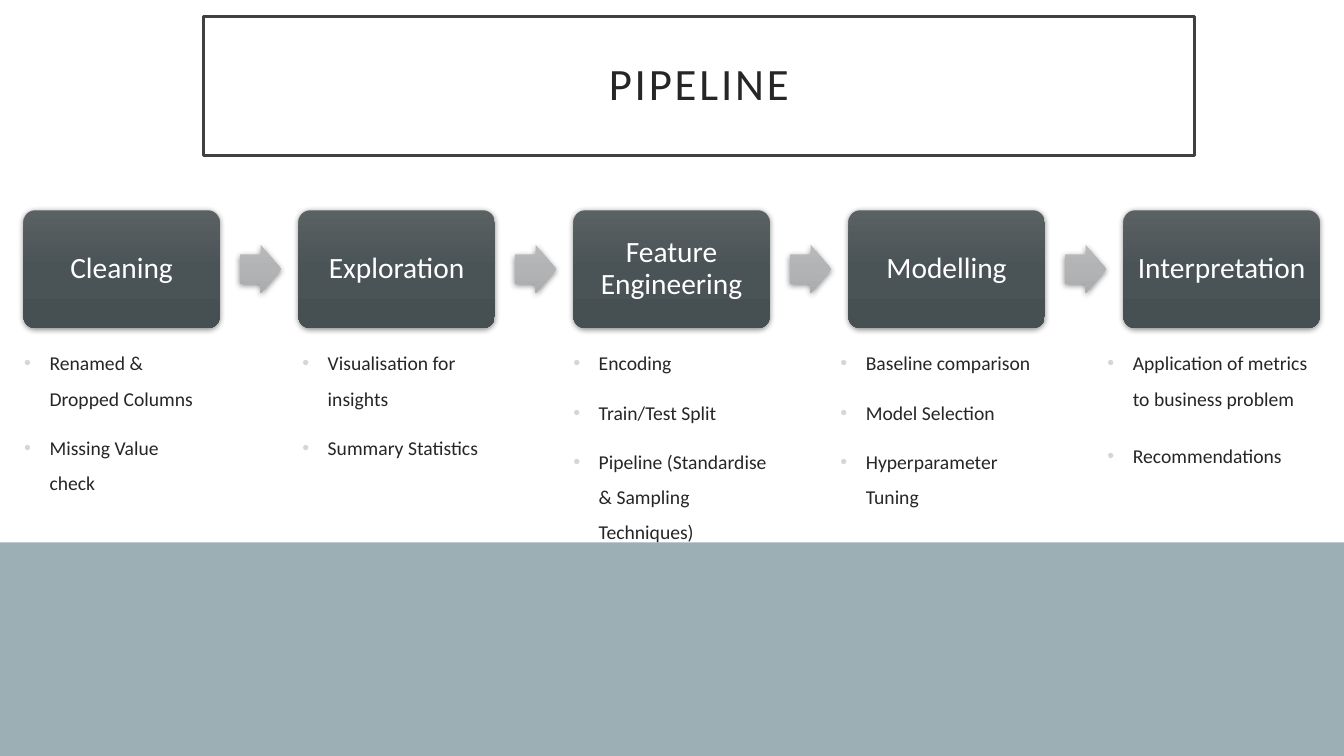
"""Build the data science pipeline slide."""
import copy
from dataclasses import dataclass

import pptx
import pptx.dml.color
import pptx.enum.shapes
import pptx.enum.text
import pptx.oxml
import pptx.oxml.ns
import pptx.util
from lxml import etree

Cm = pptx.util.Cm
Pt = pptx.util.Pt
SHAPES = pptx.enum.shapes.MSO_SHAPE
ALIGN = pptx.enum.text.PP_ALIGN
ANCHOR = pptx.enum.text.MSO_ANCHOR
qn = pptx.oxml.ns.qn


@dataclass(frozen=True)
class Theme:
    """Colours, fonts and type sizes of the slide."""
    font: str = "Calibri"
    background: str = "9BAFB5"
    paper: str = "FFFFFF"
    ink: str = "262626"
    frame: str = "404040"
    bullet: str = "D9D6D1"
    card: tuple = ("5A6163", "4A5356", "465053")
    arrow: tuple = ("B8BABA", "B2B3B4", "AAACAD")
    title_size: int = 32
    card_size: int = 21
    note_size: int = 14


def rgb(value):
    """Turn a hex string into a colour."""
    return pptx.dml.color.RGBColor.from_string(value)


def apply(target, values):
    """Set every attribute named in a dict."""
    for name, value in values.items():
        setattr(target, name, value)


class SlideBuilder:
    """Hold the theme and the slide and draw each kind of element."""

    def __init__(self, slide, theme):
        """Keep the slide and paint its background."""
        self.slide = slide
        self.theme = theme
        slide.background.fill.solid()
        slide.background.fill.fore_color.rgb = rgb(theme.background)

    def style(self, para, size, colour):
        """Format the type of a paragraph."""
        apply(para.font, {"name": self.theme.font, "size": Pt(size)})
        para.font.color.rgb = rgb(colour)

    def shape(self, kind, place):
        """Add a preset shape without line or shadow."""
        shape = self.slide.shapes.add_shape(kind, *map(Cm, place))
        shape.shadow.inherit = False
        shape.line.fill.background()
        return shape

    def band(self, place):
        """Add the plain sheet behind the content."""
        sheet = self.shape(SHAPES.RECTANGLE, place)
        sheet.fill.solid()
        sheet.fill.fore_color.rgb = rgb(self.theme.paper)

    def title(self, text, place):
        """Place the title in its frame, in front of the sheet."""
        title = self.slide.shapes.title
        self.slide.shapes._spTree.append(title._element)
        apply(title, dict(zip(("left", "top", "width", "height"), map(Cm, place))))
        title.fill.solid()
        title.fill.fore_color.rgb = rgb(self.theme.paper)
        title.line.color.rgb = rgb(self.theme.frame)
        title.line.width = Pt(2.5)
        apply(title.text_frame, {
            "text": text, "word_wrap": True, "vertical_anchor": ANCHOR.MIDDLE,
            "auto_size": pptx.enum.text.MSO_AUTO_SIZE.NONE})
        para = title.text_frame.paragraphs[0]
        apply(para, {"alignment": ALIGN.CENTER, "line_spacing": 0.9})
        self.style(para, self.theme.title_size, self.theme.ink)
        span = para.runs[0]
        apply(span.font, {"name": self.theme.font, "size": Pt(self.theme.title_size)})
        span.font._element.set("spc", "200")

    def raised(self, kind, place, colours, adjustments):
        """Add a shape with a vertical gradient and a soft shadow."""
        shape = self.shape(kind, place)
        for index, value in enumerate(adjustments):
            shape.adjustments[index] = value
        shape.fill.gradient()
        shape.fill.gradient_angle = 270
        properties = shape._element.spPr
        stops = properties.find(".//" + qn("a:gsLst"))
        stops.insert(1, copy.deepcopy(stops[0]))
        for stop, colour, position in zip(shape.fill.gradient_stops, colours, (0, 0.5, 1)):
            stop.color.rgb = rgb(colour)
            stop.position = position
        shadow = etree.SubElement(
            properties.find(qn("a:effectLst")), qn("a:outerShdw"),
            blurRad=str(Pt(4.4)), dist=str(Pt(1.2)), dir="5400000", rotWithShape="0")
        black = etree.SubElement(shadow, qn("a:srgbClr"), val="000000")
        etree.SubElement(black, qn("a:alpha"), val="45000")
        return shape

    def card(self, text, place):
        """Add a labelled step of the pipeline."""
        card = self.raised(SHAPES.ROUNDED_RECTANGLE, place, self.theme.card, (0.1,))
        sides = ("left", "top", "right", "bottom")
        apply(card.text_frame, {f"margin_{side}": Cm(0.23) for side in sides})
        apply(card.text_frame, {
            "text": text, "word_wrap": True, "vertical_anchor": ANCHOR.MIDDLE})
        para = card.text_frame.paragraphs[0]
        apply(para, {"alignment": ALIGN.CENTER, "line_spacing": 0.9})
        self.style(para, self.theme.card_size, self.theme.paper)

    def arrow(self, place):
        """Add a block arrow between two steps."""
        self.raised(SHAPES.RIGHT_ARROW, place, self.theme.arrow, (0.6, 0.5))

    def notes(self, lines, place, gap):
        """Add a bulleted list below a step."""
        box = self.slide.shapes.add_textbox(*map(Cm, place))
        frame = box.text_frame
        apply(frame, {"text": "\n".join(lines), "word_wrap": True})
        for index, para in enumerate(frame.paragraphs):
            apply(para, {"line_spacing": 1.5, "space_before": Pt(gap if index else 0)})
            settings = para._p.get_or_add_pPr()
            settings.set("marL", str(Cm(0.64)))
            settings.set("indent", str(Cm(-0.64)))
            colour = etree.SubElement(settings, qn("a:buClr"))
            etree.SubElement(colour, qn("a:srgbClr"), val=self.theme.bullet)
            etree.SubElement(settings, qn("a:buFont"), typeface="Arial")
            etree.SubElement(settings, qn("a:buChar"), char="•")
            self.style(para, self.theme.note_size, self.theme.ink)


STEPS = [
    ("Cleaning", 0.36, 5.08, 10, ["Renamed & Dropped Columns", "Missing Value check"]),
    ("Exploration", 7.37, 5.08, 10, ["Visualisation for insights", "Summary Statistics"]),
    ("Feature Engineering", 14.2, 5.46, 10,
     ["Encoding", "Train/Test Split", "Pipeline (Standardise & Sampling Techniques)"]),
    ("Modelling", 20.93, 5.46, 10,
     ["Baseline comparison", "Model Selection", "Hyperparameter Tuning"]),
    ("Interpretation", 27.66, 5.61, 16,
     ["Application of metrics to business problem", "Recommendations"]),
]
CARD_LEFT, CARD_PITCH, ARROW_OFFSET = 0.59, 6.93, 5.46


def main():
    """Build and save the deck."""
    deck = pptx.Presentation()
    apply(deck, {"slide_width": Cm(33.87), "slide_height": Cm(19.05)})
    page = SlideBuilder(deck.slides.add_slide(deck.slide_layouts[5]), Theme())
    page.band((0, 0, 33.87, 13.67))
    for index, (name, note_left, note_width, gap, lines) in enumerate(STEPS):
        left = CARD_LEFT + index * CARD_PITCH
        page.card(name, (left, 5.3, 4.95, 2.97))
        if index < len(STEPS) - 1:
            page.arrow((left + ARROW_OFFSET, 6.17, 1.04, 1.22))
        page.notes(lines, (note_left, 8.43, note_width, 10.4), gap)
    page.title("PIPELINE", (5.13, 0.41, 24.97, 3.51))
    deck.save("out.pptx")


if __name__ == "__main__":
    main()
